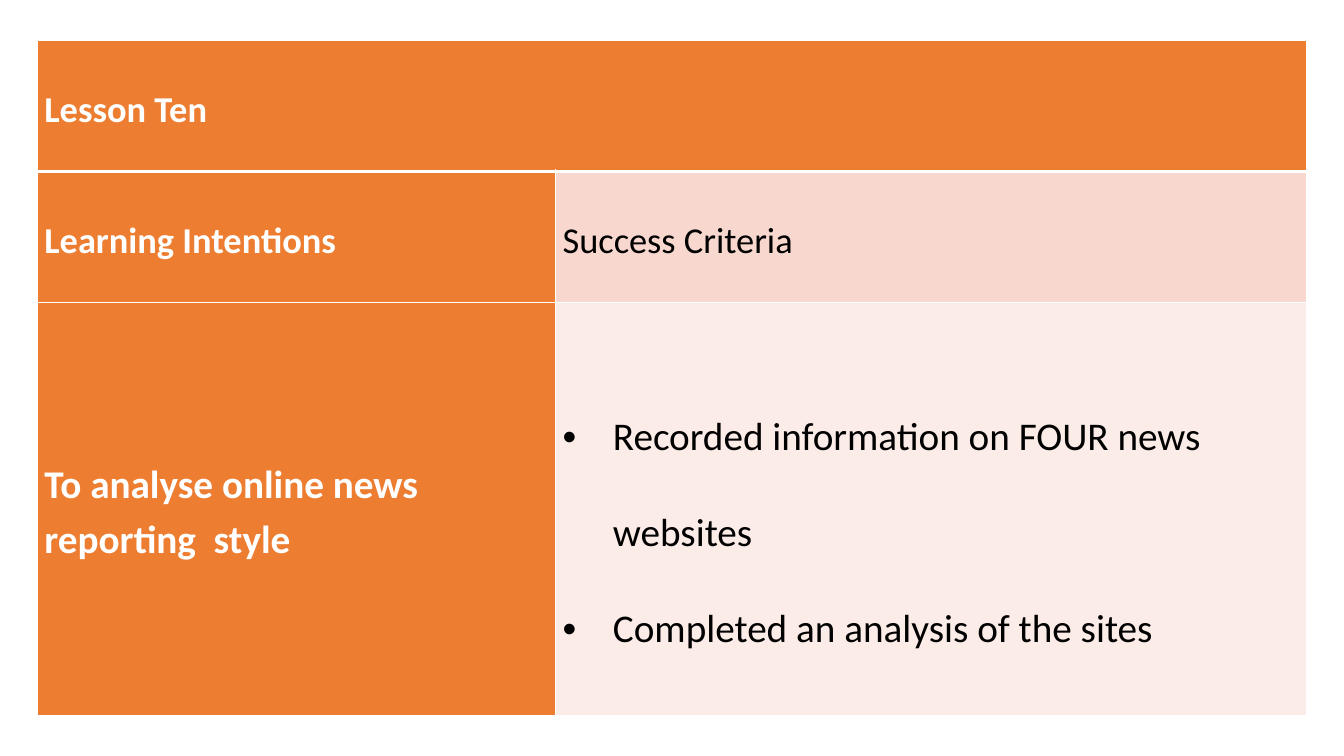
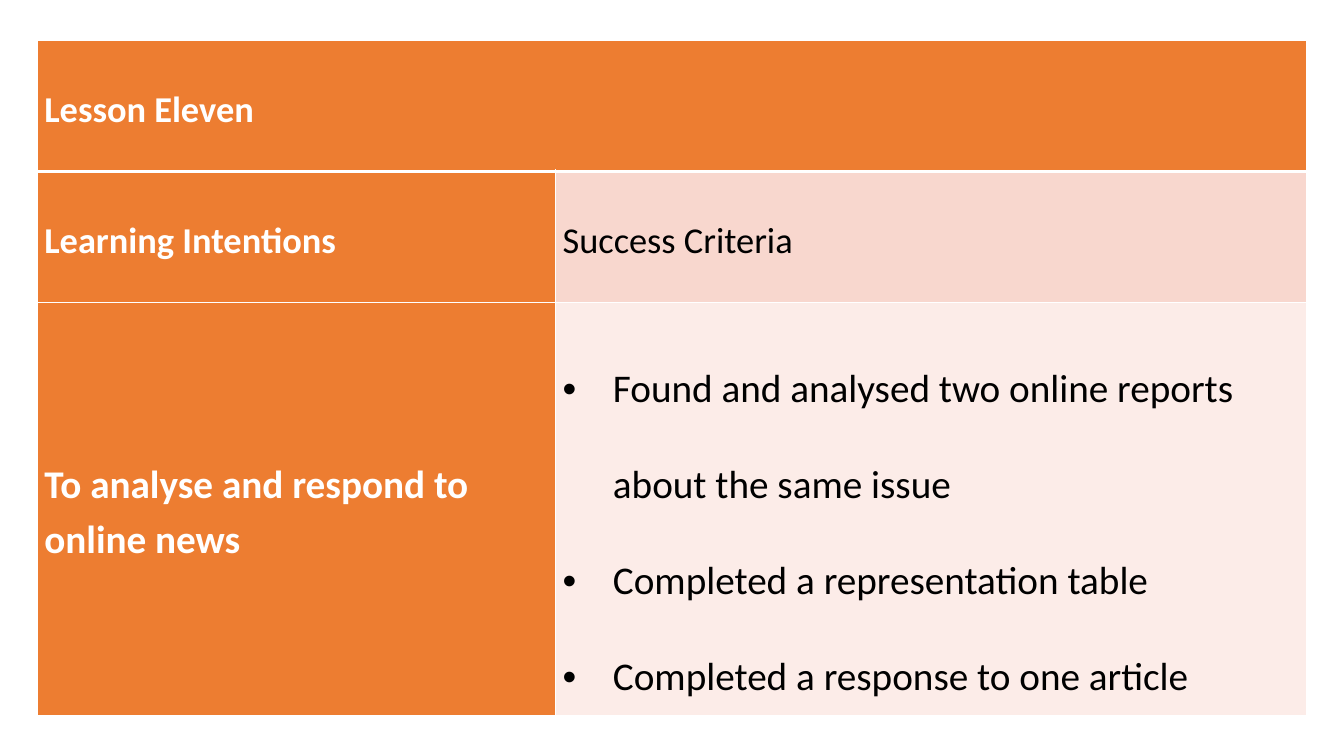
from lxml.etree import SubElement
from pptx import Presentation
from pptx.dml.color import RGBColor
from pptx.enum.text import MSO_ANCHOR
from pptx.oxml import parse_xml
from pptx.oxml.ns import nsdecls, qn
from pptx.util import Inches, Pt

INK = {"white": "FFFFFF", "black": "000000", "head": "ED7D31",
       "band": "F8D7CE", "pale": "FCECE8"}
COLS = [5.14, 7.45]
ROWS = [1.3, 1.3, 4.1]
LESSONS = [
    ("Lesson Ten", "To analyse online news reporting  style",
     ["Recorded information on FOUR news websites",
      "Completed an analysis of the sites"]),
    ("Lesson Eleven", "To analyse and respond to online news",
     ["Found and analysed two online reports about the same issue",
      "Completed a representation table",
      "Completed a response to one article"]),
]


def style(cell, fill, top, base):
    """Set margins, fill and white borders; top and base are widths in points."""
    cell.vertical_anchor = MSO_ANCHOR.MIDDLE
    cell.margin_left = cell.margin_right = Inches(0.07)
    cell.margin_top = cell.margin_bottom = 0
    cell.fill.solid()
    cell.fill.fore_color.rgb = RGBColor.from_string(INK[fill])
    props = cell._tc.get_or_add_tcPr()
    sides = [("L", 1), ("R", 1), ("T", top), ("B", base)]
    for i, (side, width) in enumerate(sides):
        props.insert(i, parse_xml(
            f'<a:ln{side} {nsdecls("a")} w="{Pt(width)}"><a:solidFill>'
            f'<a:srgbClr val="{INK["white"]}"/></a:solidFill></a:ln{side}>'))


def write(cell, lines, size, space, bold, bullet=False):
    frame = cell.text_frame
    for i, line in enumerate(lines):
        para = frame.paragraphs[0] if i == 0 else frame.add_paragraph()
        if bullet:
            props = para._p.get_or_add_pPr()
            props.set("marL", str(Inches(0.5)))
            props.set("indent", str(-Inches(0.5)))
            SubElement(props, qn("a:buFont")).set("typeface", "Arial")
            SubElement(props, qn("a:buChar")).set("char", "•")
        para.line_spacing = space
        para.space_after = Pt(0 if bullet else 8)
        run = para.add_run()
        run.text = line
        run.font.name = "Calibri"
        run.font.size = Pt(size)
        run.font.bold = bold
        run.font.color.rgb = RGBColor.from_string(INK["white" if bold else "black"])


deck = Presentation()
deck.slide_width, deck.slide_height = Inches(13.33), Inches(7.5)

for title, aim, goals in LESSONS:
    slide = deck.slides.add_slide(deck.slide_layouts[6])
    table = slide.shapes.add_table(
        len(ROWS), len(COLS), Inches(0.37), Inches(0.4),
        Inches(sum(COLS)), Inches(sum(ROWS))).table
    for col, width in zip(table.columns, COLS):
        col.width = Inches(width)
    for row, height in zip(table.rows, ROWS):
        row.height = Inches(height)

    fills = [("head", "head"), ("head", "band"), ("head", "pale")]
    rules = [1, 3, 1, 1]
    for r, pair in enumerate(fills):
        for c, fill in enumerate(pair):
            style(table.cell(r, c), fill, rules[r], rules[r + 1])
    table.cell(0, 0).merge(table.cell(0, 1))

    write(table.cell(0, 0), [title], 26, 1.2, True)
    write(table.cell(1, 0), ["Learning Intentions"], 26, 1.2, True)
    write(table.cell(1, 1), ["Success Criteria"], 26, 1.2, False)
    write(table.cell(2, 0), [aim], 28, 1.15, True)
    write(table.cell(2, 1), goals, 28, 2.0, False, bullet=True)

deck.save("out.pptx")
